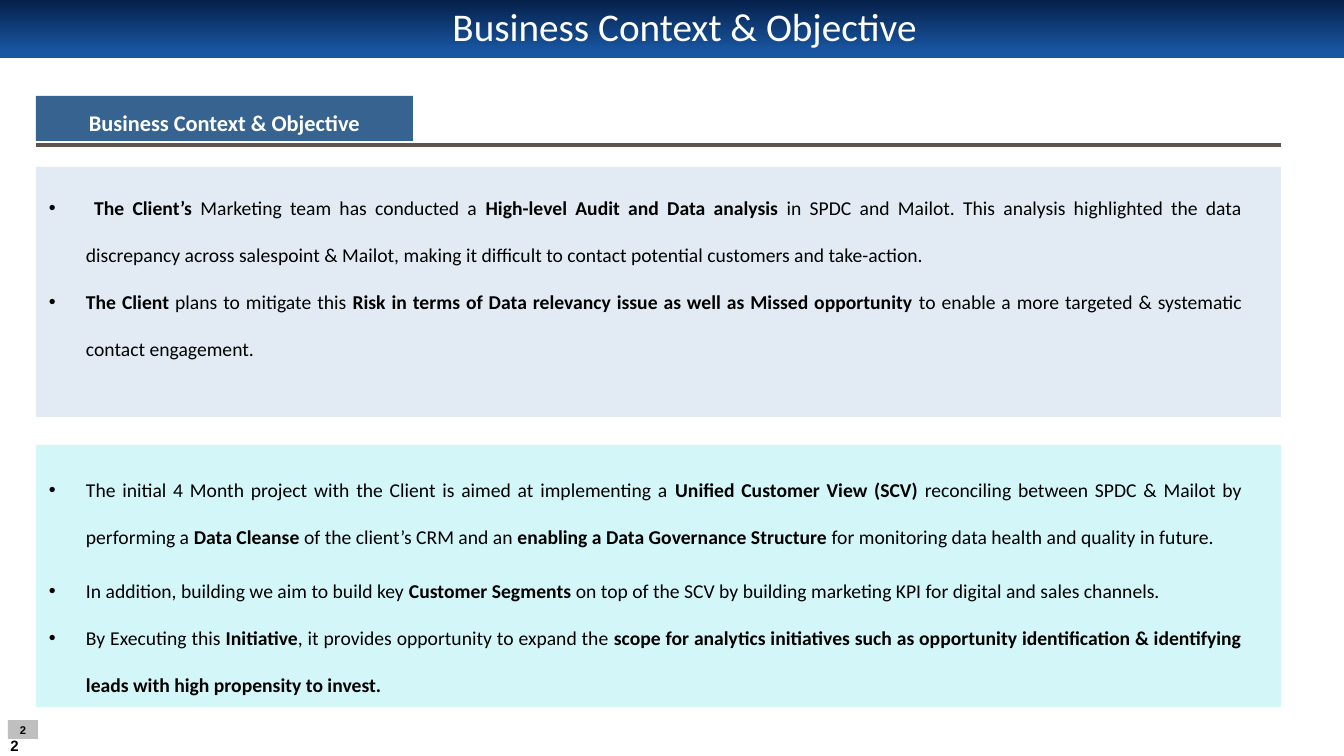
from lxml import etree
from pptx import Presentation, util as u
from pptx.dml.color import RGBColor
from pptx.enum import shapes, text
from pptx.oxml.ns import qn

# Content: each bullet alternates spans of (text, bold)
HEADING = "Business Context & Objective"
PAGE_NUMBER = "2"
CONTEXT = [
    [(" The Client’s ", True), ("Marketing team has conducted a", False),
     (" High-level Audit and Data analysis ", True),
     ("in SPDC and Mailot. This analysis highlighted the data discrepancy across "
      "salespoint & Mailot, making it difficult to contact potential customers "
      "and take-action.", False)],
    [("The Client", True), (" plans to mitigate this ", False),
     ("Risk in terms of Data relevancy issue as well as Missed opportunity ", True),
     ("to enable a more targeted & systematic contact engagement.", False)],
]
OBJECTIVE = [
    [("The initial 4 Month project with the Client is aimed at implementing a ", False),
     ("Unified Customer View (SCV) ", True),
     ("reconciling between SPDC & Mailot by performing a ", False),
     ("Data Cleanse", True), (" of the client’s CRM and an ", False),
     ("enabling a Data Governance Structure ", True),
     ("for monitoring data health and quality in future.", False)],
    [("In addition, building we aim to build key ", False), ("Customer Segments ", True),
     ("on top of the SCV by building marketing KPI for digital and sales channels.", False)],
    [("By Executing this", False), (" Initiative", True),
     (", it provides opportunity to expand the ", False),
     ("scope for analytics initiatives such as opportunity identification & "
      "identifying leads with high propensity to invest.", True)],
]

BLACK = RGBColor(0x00, 0x00, 0x00)
WHITE = RGBColor(0xFF, 0xFF, 0xFF)
NAVY = RGBColor(0x05, 0x20, 0x49)
BLUE = RGBColor(0x19, 0x57, 0xA3)
STEEL = RGBColor(0x36, 0x63, 0x90)
PALE_BLUE = RGBColor(0xDB, 0xE6, 0xF2)
PALE_CYAN = RGBColor(0xC9, 0xF4, 0xF7)
BROWN = RGBColor(0x60, 0x54, 0x4B)
GREY = RGBColor(0xBF, 0xBF, 0xBF)

# Layout in px
WIDTH, HEIGHT = 1344, 756
LEFT, PANEL_WIDTH = 36, 1245
HANG = 37
PANELS = [  # panel top, panel height, colour, text top, text height, bullets, space before
    (167, 250, PALE_BLUE, 172, 190, CONTEXT, [0, 0]),
    (445, 262, PALE_CYAN, 454, 250, OBJECTIVE, [0, 5, 0]),
]


def px(value):
    return u.Emu(round(value * 914400 / 100.8))


def assign(target, values):
    for name, value in values.items():
        setattr(target, name, value)


def set_font(font, size, color, bold=False, name="Calibri"):
    assign(font, dict(size=u.Pt(size), bold=bold, name=name))
    font.color.rgb = color


def set_frame(box, anchor, side=0, edge=0, wrap=True):
    assign(box.text_frame, dict(
        margin_left=px(side), margin_right=px(side), margin_top=px(edge),
        margin_bottom=px(edge), vertical_anchor=anchor, word_wrap=wrap))


def write_line(box, words, size, color, spacing=1.0, **font):
    para = box.text_frame.paragraphs[0]
    assign(para, dict(alignment=text.PP_ALIGN.CENTER, line_spacing=spacing))
    span = para.add_run()
    span.text = words
    set_font(span.font, size, color, **font)


def add_block(page, place, color=None, opacity=None):
    block = page.shapes.add_shape(shapes.MSO_SHAPE.RECTANGLE, *map(px, place))
    block.shadow.inherit = False
    block.line.fill.background()
    if color is not None:
        block.fill.solid()
        block.fill.fore_color.rgb = color
    if opacity:
        tint = block.fill._xPr.find(qn("a:solidFill"))[0]
        etree.SubElement(tint, qn("a:alpha"), val=str(opacity * 1000))
    return block


def add_bullets(page, place, bullets, gaps):
    box = page.shapes.add_textbox(*map(px, place))
    set_frame(box, text.MSO_ANCHOR.TOP)
    for index, (spans, gap) in enumerate(zip(bullets, gaps)):
        para = box.text_frame.paragraphs[0] if index == 0 else box.text_frame.add_paragraph()
        assign(para, dict(alignment=text.PP_ALIGN.JUSTIFY, line_spacing=2.0,
                          space_before=u.Pt(gap)))
        props = para._p.get_or_add_pPr()
        props.set("marL", str(px(HANG)))
        props.set("indent", str(-px(HANG)))
        etree.SubElement(props, qn("a:buFont"), typeface="Arial")
        etree.SubElement(props, qn("a:buChar"), char="•")
        for words, bold in spans:
            span = para.add_run()
            span.text = words
            set_font(span.font, 14, BLACK, bold)


def main():
    deck = Presentation()
    assign(deck, dict(slide_width=px(WIDTH), slide_height=px(HEIGHT)))
    page = deck.slides.add_slide(deck.slide_layouts[5])

    # Header band with the title in front of it
    band = add_block(page, (0, 0, WIDTH, 58))
    band.fill.gradient()
    band.fill.gradient_angle = 270
    for stop, color, position in zip(band.fill.gradient_stops, (NAVY, BLUE), (0, 0.9)):
        stop.color.rgb = color
        stop.position = position
    title = page.shapes.title
    assign(title, dict(left=px(66), top=px(6), width=px(1237), height=px(45)))
    set_frame(title, text.MSO_ANCHOR.MIDDLE, 7, 4)
    title.text_frame.auto_size = text.MSO_AUTO_SIZE.NONE
    write_line(title, HEADING, 28, WHITE, 0.9)
    page.shapes._spTree.append(title._element)

    # Section tab and rule
    tab = add_block(page, (LEFT, 96, 377, 45), STEEL)
    set_frame(tab, text.MSO_ANCHOR.TOP, 10)
    write_line(tab, HEADING, 16, WHITE, 1.5, bold=True)
    rule = page.shapes.add_connector(
        shapes.MSO_CONNECTOR.STRAIGHT, px(LEFT), px(145), px(LEFT + PANEL_WIDTH), px(145))
    rule.line.color.rgb = BROWN
    rule.line.width = u.Pt(2.25)
    etree.SubElement(rule._element.spPr, qn("a:effectLst"))

    # Panels with their bullets
    for top, height, color, text_top, text_height, bullets, gaps in PANELS:
        add_block(page, (LEFT, top, PANEL_WIDTH, height), color, 80)
        add_bullets(page, (49, text_top, 1193, text_height), bullets, gaps)

    # Page numbers
    badge = add_block(page, (8, 720, 30, 19), GREY)
    number = page.shapes.add_textbox(*map(px, (2, 736, 25, 19)))
    for box, size in ((badge, 8), (number, 10.7)):
        set_frame(box, text.MSO_ANCHOR.MIDDLE, wrap=False)
        write_line(box, PAGE_NUMBER, size, BLACK, bold=True, name="Arial")

    deck.save("out.pptx")


if __name__ == "__main__":
    main()
